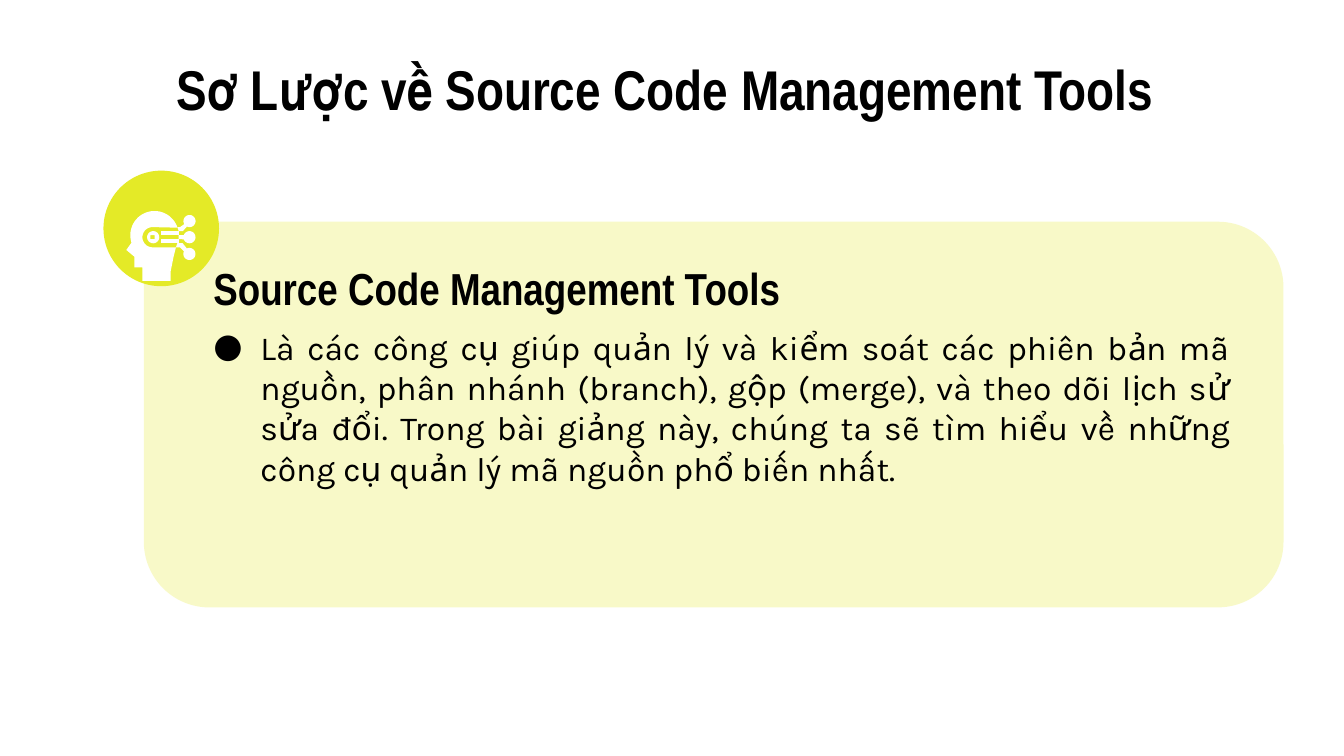
import math

from lxml import etree
from pptx import Presentation
from pptx import util as u
from pptx.dml import color
from pptx.enum import shapes, text
from pptx.oxml import ns

COLORS = {"lime": "E4EA27", "white": "FFFFFF", "ink": "000000"}
HEADING_FONT = "Arial Narrow"
BODY_FONT = "Karla"
SLIDE_WIDTH = 10
NODE_X, NODE_RADIUS = 1.41, 0.045
BRANCHES = [
    (1.645, 150, 475, [(1.36, 1.72), (1.33, 1.72), (1.32, 1.69), (1.34, 1.69)]),
    (1.765, 200, 520, [(1.33, 1.78), (1.33, 1.75)]),
    (1.89, 245, 565, [(1.34, 1.84), (1.31, 1.84), (1.32, 1.81), (1.36, 1.81)]),
]


def rgb(name):
    return color.RGBColor.from_string(COLORS[name])


def paint(shape, fill, alpha=None):
    shape.shadow.inherit = False
    shape.fill.solid()
    shape.fill.fore_color.rgb = rgb(fill)
    shape.line.fill.background()
    if alpha is not None:
        tint = shape.fill._xPr.find(".//" + ns.qn("a:srgbClr"))
        etree.SubElement(tint, ns.qn("a:alpha")).set("val", str(alpha * 1000))


def add_panel(slide, preset, box, fill, alpha=None):
    panel = slide.shapes.add_shape(preset, *map(u.Inches, box))
    paint(panel, fill, alpha)
    return panel


def add_bullet(paragraph, indent, font):
    props = paragraph._p.get_or_add_pPr()
    props.set("marL", str(u.Inches(indent)))
    props.set("indent", str(-u.Inches(indent)))
    bullet_color = etree.SubElement(props, ns.qn("a:buClr"))
    etree.SubElement(bullet_color, ns.qn("a:srgbClr")).set("val", COLORS["ink"])
    etree.SubElement(props, ns.qn("a:buFont")).set("typeface", font)
    etree.SubElement(props, ns.qn("a:buChar")).set("char", "●")


def add_text(slide, words, box, size, font=HEADING_FONT, bold=False,
             align=text.PP_ALIGN.LEFT, anchor=text.MSO_ANCHOR.MIDDLE, indent=None):
    frame = slide.shapes.add_textbox(*map(u.Inches, box)).text_frame
    frame.word_wrap = True
    frame.vertical_anchor = anchor
    frame.margin_left = frame.margin_right = u.Inches(0.1)
    frame.margin_top = frame.margin_bottom = u.Inches(0.1)
    paragraph = frame.paragraphs[0]
    paragraph.alignment = align
    if indent:
        add_bullet(paragraph, indent, font)
    run = paragraph.add_run()
    run.text = words
    run.font.size = u.Pt(size)
    run.font.name = font
    run.font.bold = bold
    run.font.color.rgb = rgb("ink")


def arc(x, y, radius, start, end, steps=36):
    angles = [math.radians(start + (end - start) * i / steps) for i in range(steps + 1)]
    return [(x + radius * math.cos(a), y + radius * math.sin(a)) for a in angles]


def rectangle(left, top, right, bottom):
    return [(left, top), (left, bottom), (right, bottom), (right, top)]


def add_outline(group, *contours):
    contours = [[(u.Inches(x), u.Inches(y)) for x, y in c] for c in contours]
    builder = group.shapes.build_freeform(*contours[0][0])
    builder.add_line_segments(contours[0][1:], close=True)
    for contour in contours[1:]:
        builder.move_to(*contour[0])
        builder.add_line_segments(contour[1:], close=True)
    paint(builder.convert_to_shape(), "white")


def add_thinking_head(slide):
    icon = slide.shapes.add_group_shape()
    face_and_neck = [(0.94, 1.86), (1, 1.91), (1, 1.99), (1.06, 1.99), (1.06, 2.09),
                     (1.27, 2.09), (1.27, 2.02), (1.29, 1.92), (1.31, 1.84)]
    add_outline(icon, arc(1.15, 1.75, 0.18, 342, 162) + face_and_neck
                + arc(1.135, 1.765, 0.075, 90, 270))
    add_outline(icon, arc(1.14, 1.765, NODE_RADIUS, 0, 360),
                rectangle(1.12, 1.75, 1.15, 1.78))
    for top in (1.72, 1.78):
        add_outline(icon, rectangle(1.2, top, 1.33, top + 0.03))
    for node_y, start, end, tail in BRANCHES:
        add_outline(icon, arc(NODE_X, node_y, NODE_RADIUS, start, end) + tail)


def main():
    deck = Presentation()
    deck.slide_width = u.Inches(SLIDE_WIDTH)
    deck.slide_height = u.Inches(SLIDE_WIDTH * 9 / 16)
    slide = deck.slides.add_slide(deck.slide_layouts[6])

    card = add_panel(slide, shapes.MSO_SHAPE.ROUNDED_RECTANGLE,
                     (1.07, 1.65, 8.48, 2.87), "lime", alpha=25)
    card.adjustments[0] = 0.17
    add_panel(slide, shapes.MSO_SHAPE.OVAL, (0.77, 1.27, 0.86, 0.86), "lime")
    add_text(slide, "Sơ Lược về Source Code Management Tools ", (0.5, 0.45, 9, 0.41),
             size=30, bold=True, align=text.PP_ALIGN.CENTER)
    add_thinking_head(slide)
    add_text(slide, "Source Code Management Tools", (1.49, 1.92, 5.34, 0.44),
             size=24, bold=True)
    add_text(slide, "Là các công cụ giúp quản lý và kiểm soát các phiên bản mã nguồn, "
             "phân nhánh (branch), gộp (merge), và theo dõi lịch sử sửa đổi. "
             "Trong bài giảng này, chúng ta sẽ tìm hiểu về những công cụ quản lý "
             "mã nguồn phổ biến nhất.", (1.49, 2.33, 7.76, 1.61),
             size=18, font=BODY_FONT, align=text.PP_ALIGN.JUSTIFY,
             anchor=text.MSO_ANCHOR.TOP, indent=0.35)
    deck.save("out.pptx")


if __name__ == "__main__":
    main()
